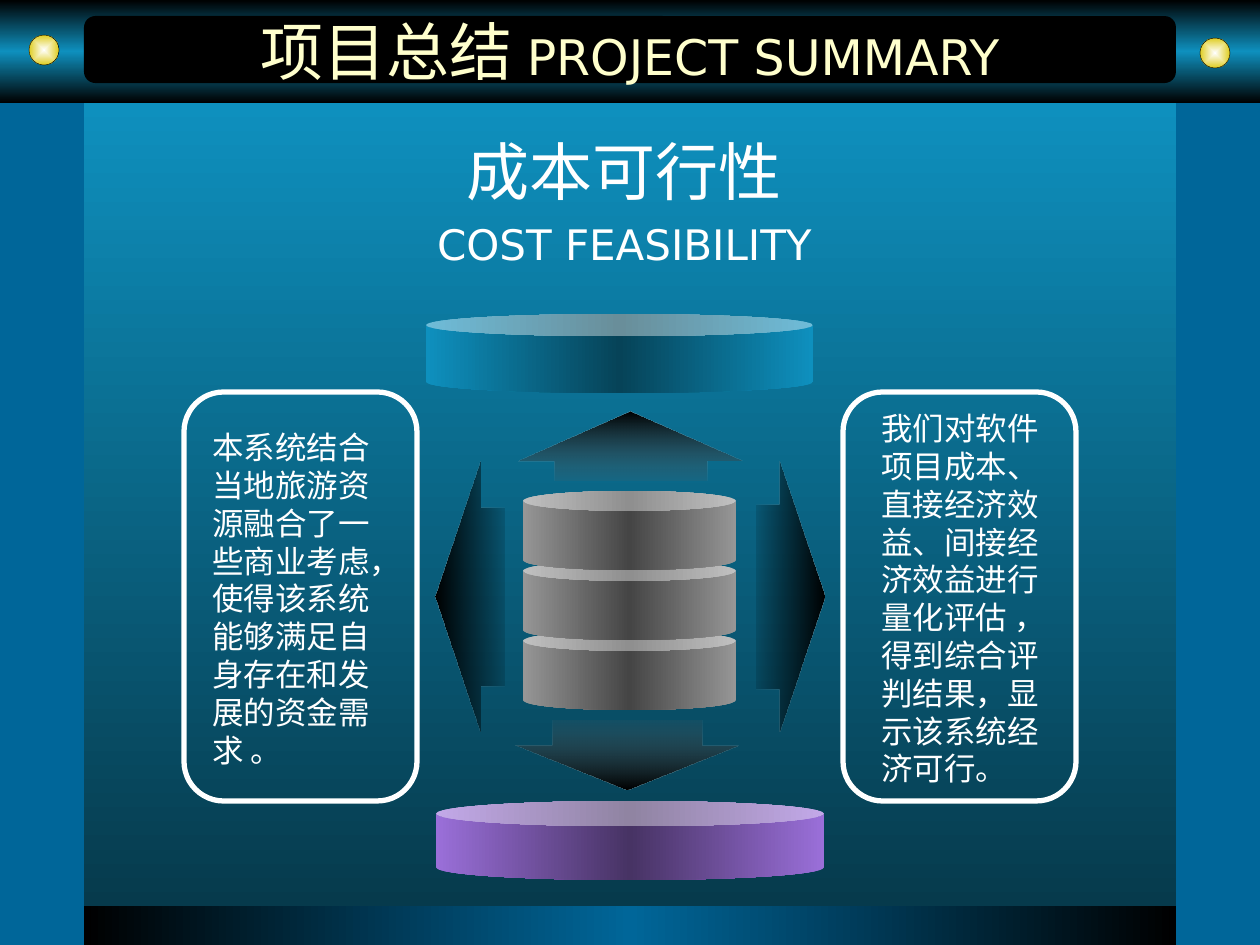
from lxml.etree import SubElement
from pptx import Presentation
from pptx.dml.color import RGBColor
from pptx.enum.shapes import MSO_SHAPE as Shape
from pptx.enum.text import MSO_ANCHOR as Anchor, PP_ALIGN as Align
from pptx.oxml.ns import qn
from pptx.util import Pt

PX = 914400 / 126
WIDTH, HEIGHT = 1260, 945
COLORS = {
    "back": "006699", "black": "000000", "white": "FFFFFF", "cream": "FFFFCC",
    "sky": "0E90BE", "deep": "063A4C", "teal": "064358", "gold": "DFCD21",
    "silver": "969696", "iron": "454545", "smoke": "5D5D5D",
    "violet": "9A6FD9", "plum": "473364",
}
TITLE_FONT, BODY_FONT = "DejaVu Sans", "Arial"
FADED = 12  # opacity in percent


def emu(*lengths):
    return [round(length * PX) for length in lengths]


def rgb(name):
    return RGBColor.from_string(COLORS[name])


def add_span(para, text, size=18, font=BODY_FONT, color="white"):
    span = para.add_run()
    span.text = text
    span.font.size = Pt(size)
    span.font.name = font
    span.font.color.rgb = rgb(color)


class Painter:
    """Holds the page being drawn and the common look of its elements."""

    def __init__(self, page):
        self.page = page
        page.background.fill.solid()
        page.background.fill.fore_color.rgb = rgb("back")

    def shape(self, kind, area, fill=None, line=None, weight=0, adjust=()):
        shape = self.page.shapes.add_shape(kind, *emu(*area))
        shape.shadow.inherit = False
        for index, value in enumerate(adjust):
            shape.adjustments[index] = value
        if fill:
            shape.fill.solid()
            shape.fill.fore_color.rgb = rgb(fill)
        else:
            shape.fill.background()
        if line:
            shape.line.color.rgb = rgb(line)
            shape.line.width = Pt(weight)
        else:
            shape.line.fill.background()
        return shape

    def gradient(self, kind, area, stops, angle=0, radial=False, **look):
        """Stops are evenly spread colour names or (name, opacity) pairs."""
        shape = self.shape(kind, area, **look)
        shape.fill.gradient()
        grad = shape._element.spPr.find(qn("a:gradFill"))
        for child in list(grad):
            grad.remove(child)
        stop_list = SubElement(grad, qn("a:gsLst"))
        for index, stop in enumerate(stops):
            name, opacity = (stop, 100) if isinstance(stop, str) else stop
            position = round(100000 * index / (len(stops) - 1))
            mark = SubElement(stop_list, qn("a:gs"), pos=str(position))
            color = SubElement(mark, qn("a:srgbClr"), val=COLORS[name])
            if opacity < 100:
                SubElement(color, qn("a:alpha"), val=str(opacity * 1000))
        if radial:
            path = SubElement(grad, qn("a:path"), path="rect")
            sides = dict.fromkeys("ltrb", "50000")
            SubElement(path, qn("a:fillToRect"), **sides)
        else:
            SubElement(grad, qn("a:lin"), ang=str(angle * 60000), scaled="0")

    def can(self, area, edge, middle, depth=0.25):
        self.gradient(Shape.CAN, area, [edge, middle, edge], adjust=[depth])

    def text(self, area, paragraphs, align=Align.LEFT, anchor=Anchor.TOP, gap=0):
        """Each paragraph is a list of (text, format) pairs."""
        box = self.page.shapes.add_textbox(*emu(*area))
        frame = box.text_frame
        frame.word_wrap = True
        frame.vertical_anchor = anchor
        for index, spans in enumerate(paragraphs):
            para = frame.add_paragraph() if index else frame.paragraphs[0]
            para.alignment = align
            if index:
                para.space_before = Pt(gap)
            for text, style in spans:
                add_span(para, text, **style)


def main():
    deck = Presentation()
    deck.slide_width, deck.slide_height = emu(WIDTH, HEIGHT)
    painter = Painter(deck.slides.add_slide(deck.slide_layouts[6]))

    # Header, footer and main panel
    painter.gradient(Shape.RECTANGLE, (0, 0, WIDTH, 103), ["black", "sky", "black"], 90)
    painter.shape(Shape.ROUNDED_RECTANGLE, (84, 16, 1092, 67), "black", adjust=[0.17])
    painter.gradient(Shape.RECTANGLE, (84, 905, 1092, 41), ["black", "back", "black"])
    painter.gradient(Shape.RECTANGLE, (84, 103, 1092, 803), ["sky", "deep"], 90)
    for left, top in ((29, 35), (1200, 38)):
        painter.gradient(Shape.OVAL, (left, top, 30, 30), ["white", "gold"],
                         radial=True, line="black", weight=0.25)

    # Title and heading
    title = {"font": TITLE_FONT, "color": "cream"}
    painter.text((84, 19, 1092, 63),
                 [[("项目总结 ", {"size": 36, **title}),
                   ("PROJECT SUMMARY", {"size": 28, **title})]],
                 align=Align.CENTER, anchor=Anchor.MIDDLE)
    painter.text((84, 126, 1081, 160),
                 [[("成本可行性", {"size": 36, "font": TITLE_FONT})],
                  [("COST FEASIBILITY", {"size": 24, "font": TITLE_FONT})]],
                 align=Align.CENTER, gap=6)

    # Central stack, lowest can first
    for level in (2, 1, 0):
        painter.can((523, 491 + 70 * level, 213, 79), "silver", "iron")

    # Upper and lower discs
    painter.can((426, 314, 387, 79), "sky", "teal", 0.28)
    painter.can((436, 801, 388, 79), "violet", "plum", 0.32)

    # Arrows fading towards the stack
    clear, smoke = ("black", FADED), ("smoke", FADED)
    for kind, area, stops, angle, adjust in (
        (Shape.LEFT_ARROW, (436, 462, 68, 270), ["black", clear], 0, (0.66, 0.65)),
        (Shape.RIGHT_ARROW, (756, 462, 68, 270), [clear, "black"], 0, (0.68, 0.66)),
        (Shape.UP_ARROW, (519, 412, 223, 69), ["black", smoke], 90, (0.68, 0.71)),
        (Shape.DOWN_ARROW, (515, 721, 223, 69), [smoke, "black"], 90, (0.67, 0.64)),
    ):
        painter.gradient(kind, area, stops, angle, adjust=adjust)

    # Side notes
    for frame_left, text_left, text_top, text_height, note in (
        (184, 200, 422, 353,
         "本系统结合当地旅游资源融合了一些商业考虑，使得该系统能够满足自身存在和发展的资金需求 。"),
        (843, 869, 403, 391,
         "我们对软件项目成本、直接经济效益、间接经济效益进行量化评估 ，得到综合评判结果，显示该系统经济可行。"),
    ):
        painter.shape(Shape.ROUNDED_RECTANGLE, (frame_left, 392, 233, 409),
                      line="white", weight=3, adjust=[0.17])
        painter.text((text_left, text_top, 213, text_height), [[(note, {})]])

    deck.save("out.pptx")


if __name__ == "__main__":
    main()
